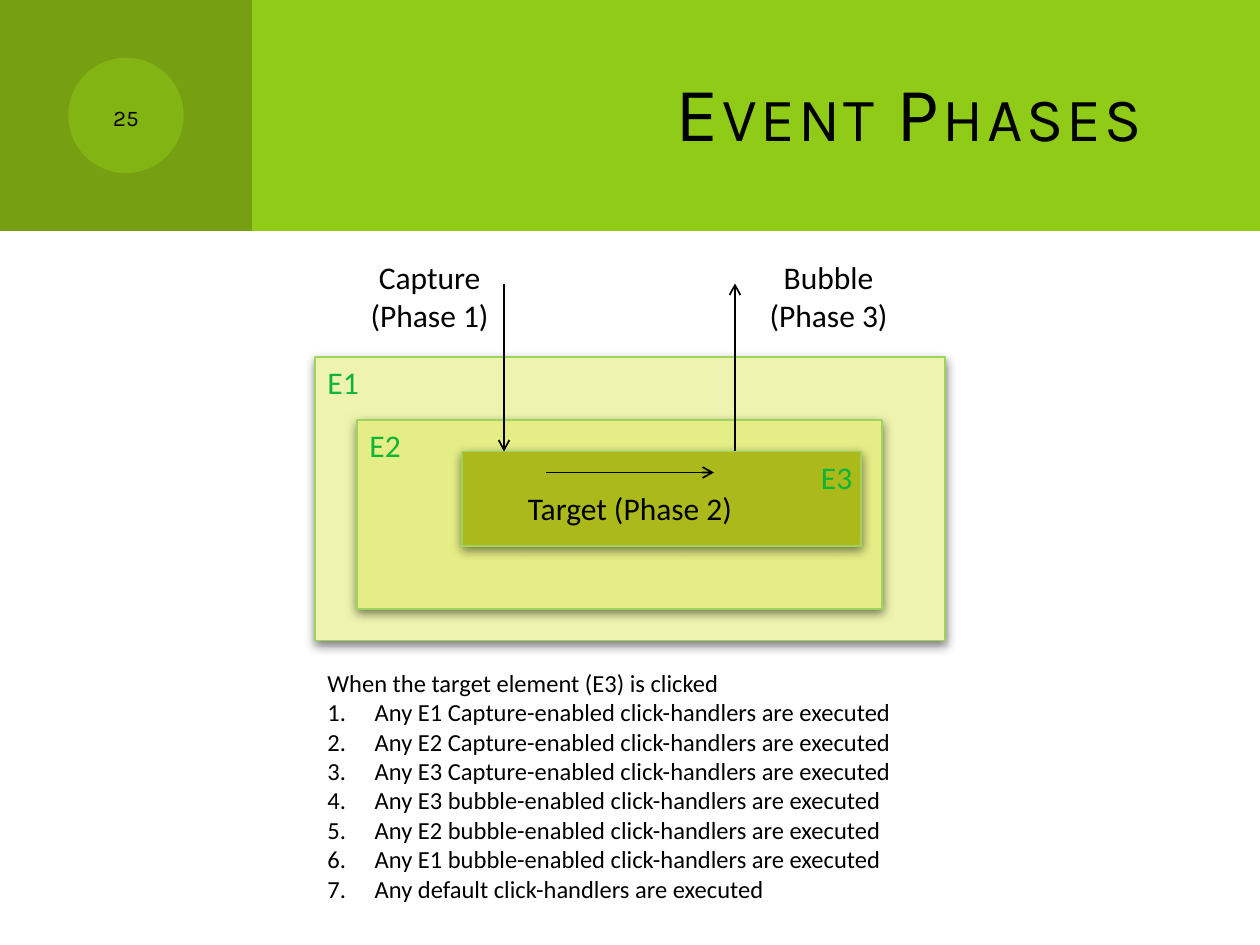
from lxml.etree import SubElement
from pptx import Presentation
from pptx.dml.color import RGBColor
from pptx.enum.shapes import MSO_CONNECTOR, MSO_SHAPE
from pptx.enum.text import MSO_ANCHOR as Anchor, MSO_AUTO_SIZE as AutoSize, PP_ALIGN as Align
from pptx.oxml.ns import qn
from pptx.util import Pt

BLACK = RGBColor(0x00, 0x00, 0x00)
BANNER = RGBColor(0x8F, 0xCB, 0x17)
BANNER_DARK = RGBColor(0x76, 0x9F, 0x11)
BORDER = RGBColor(0x9F, 0xD4, 0x5C)
LABEL = RGBColor(0x0D, 0xB4, 0x35)

BODY, HEADING = "Calibri", "Karla"

# Nested elements: label, fill, (left, top, width, height), label left
ELEMENTS = [
    ("E1", RGBColor(0xEE, 0xF4, 0xAF), (180, 204, 360, 162), 180),
    ("E2", RGBColor(0xE5, 0xEE, 0x86), (204, 240, 300, 108), 204),
    ("E3", RGBColor(0xAB, 0xB9, 0x1A), (264, 258, 228, 54), 462),
]
ARROWS = [
    ((288, 162), (288, 258)),
    ((420, 258), (420, 162)),
    ((312, 270), (408, 270)),
]
PHASES = [
    (["Capture", "(Phase 1)"], (204, 144, 83, 51), False),
    (["Bubble", "(Phase 3)"], (432, 144, 83, 51), False),
    (["Target (Phase 2)"], (282, 276, 156, 29), True),
]
INTRO = "When the target element (E3) is clicked"
STEPS = [
    "Any E1 Capture-enabled click-handlers are executed",
    "Any E2 Capture-enabled click-handlers are executed",
    "Any E3 Capture-enabled click-handlers are executed",
    "Any E3 bubble-enabled click-handlers are executed",
    "Any E2 bubble-enabled click-handlers are executed",
    "Any E1 bubble-enabled click-handlers are executed",
    "Any default click-handlers are executed",
]


def points(values):
    return [Pt(value) for value in values]


def add_text(page, lines, frame, size=18, font=BODY, color=BLACK, align=Align.LEFT,
             anchor=Anchor.TOP, wrap=True, grow=True, small_caps=False, spacing=0):
    box = page.shapes.add_textbox(*points(frame))
    text = box.text_frame
    text.word_wrap = wrap
    text.auto_size = AutoSize.SHAPE_TO_FIT_TEXT if grow else AutoSize.NONE
    text.vertical_anchor = anchor
    for index, line in enumerate(lines):
        para = text.paragraphs[0] if index == 0 else text.add_paragraph()
        para.alignment = align
        span = para.add_run()
        span.text = line
        span.font.size = Pt(size)
        span.font.name = font
        span.font.color.rgb = color
        props = span.font._element
        if small_caps:
            props.set("cap", "small")
        if spacing:
            props.set("spc", str(spacing * 100))
    return text


def number_paragraph(para, indent=27):
    props = para._p.get_or_add_pPr()
    props.set("marL", str(Pt(indent)))
    props.set("indent", str(-Pt(indent)))
    SubElement(props, qn("a:buFont"), typeface="+mj-lt")
    SubElement(props, qn("a:buAutoNum"), type="arabicPeriod")


def add_alpha(color, percent):
    SubElement(color, qn("a:alpha"), val=str(percent * 1000))


def add_block(page, kind, frame, fill, border=None):
    block = page.shapes.add_shape(kind, *points(frame))
    block.shadow.inherit = False
    block.fill.solid()
    block.fill.fore_color.rgb = fill
    if border is None:
        block.line.fill.background()
    else:
        block.line.color.rgb = border
        block.line.width = Pt(0.75)
    return block


def add_drop_shadow(block):
    effects = block._element.spPr.find(qn("a:effectLst"))
    shadow = SubElement(effects, qn("a:outerShdw"), blurRad=str(Pt(6)), dist=str(Pt(2)),
                        dir="5400000", rotWithShape="0")
    add_alpha(SubElement(shadow, qn("a:srgbClr"), val=str(BLACK)), 50)


def add_arrow(page, start, end):
    arrow = page.shapes.add_connector(MSO_CONNECTOR.STRAIGHT, *points(start + end))
    arrow.line.color.rgb = BLACK
    arrow.line.width = Pt(1)
    SubElement(arrow.line._get_or_add_ln(), qn("a:tailEnd"), type="arrow")
    SubElement(arrow._element.spPr, qn("a:effectLst"))


def add_banner(page):
    add_block(page, MSO_SHAPE.RECTANGLE, (0, 0, 720, 132), BANNER)
    add_block(page, MSO_SHAPE.RECTANGLE, (0, 0, 144, 132), BANNER_DARK)
    badge = add_block(page, MSO_SHAPE.OVAL, (39, 33, 66, 66), BANNER)
    add_alpha(badge._element.spPr.find(qn("a:solidFill"))[0], 50)
    add_text(page, ["Event Phases"], (192, 18, 492, 90), size=44, font=HEADING, grow=False,
             align=Align.RIGHT, anchor=Anchor.MIDDLE, small_caps=True, spacing=2)
    add_text(page, ["25"], (42, 42, 60, 48), size=16, font=HEADING, grow=False,
             align=Align.CENTER, anchor=Anchor.MIDDLE, small_caps=True)


def add_diagram(page):
    for _, fill, frame, _ in ELEMENTS:
        add_drop_shadow(add_block(page, MSO_SHAPE.RECTANGLE, frame, fill, BORDER))
    for start, end in ARROWS:
        add_arrow(page, start, end)
    for lines, frame, wrap in PHASES:
        add_text(page, lines, frame, align=Align.CENTER, wrap=wrap)
    for label, _, (_, top, _, _), left in ELEMENTS:
        add_text(page, [label], (left, top, 32.4, 29), color=LABEL, wrap=False)


def main():
    deck = Presentation()
    deck.slide_width, deck.slide_height = Pt(720), Pt(540)
    page = deck.slides.add_slide(deck.slide_layouts[6])
    add_banner(page)
    add_diagram(page)
    steps = add_text(page, [INTRO] + STEPS, (180, 378, 348, 143), size=14)
    for para in steps.paragraphs[1:]:
        number_paragraph(para)
    deck.save("out.pptx")


if __name__ == "__main__":
    main()
